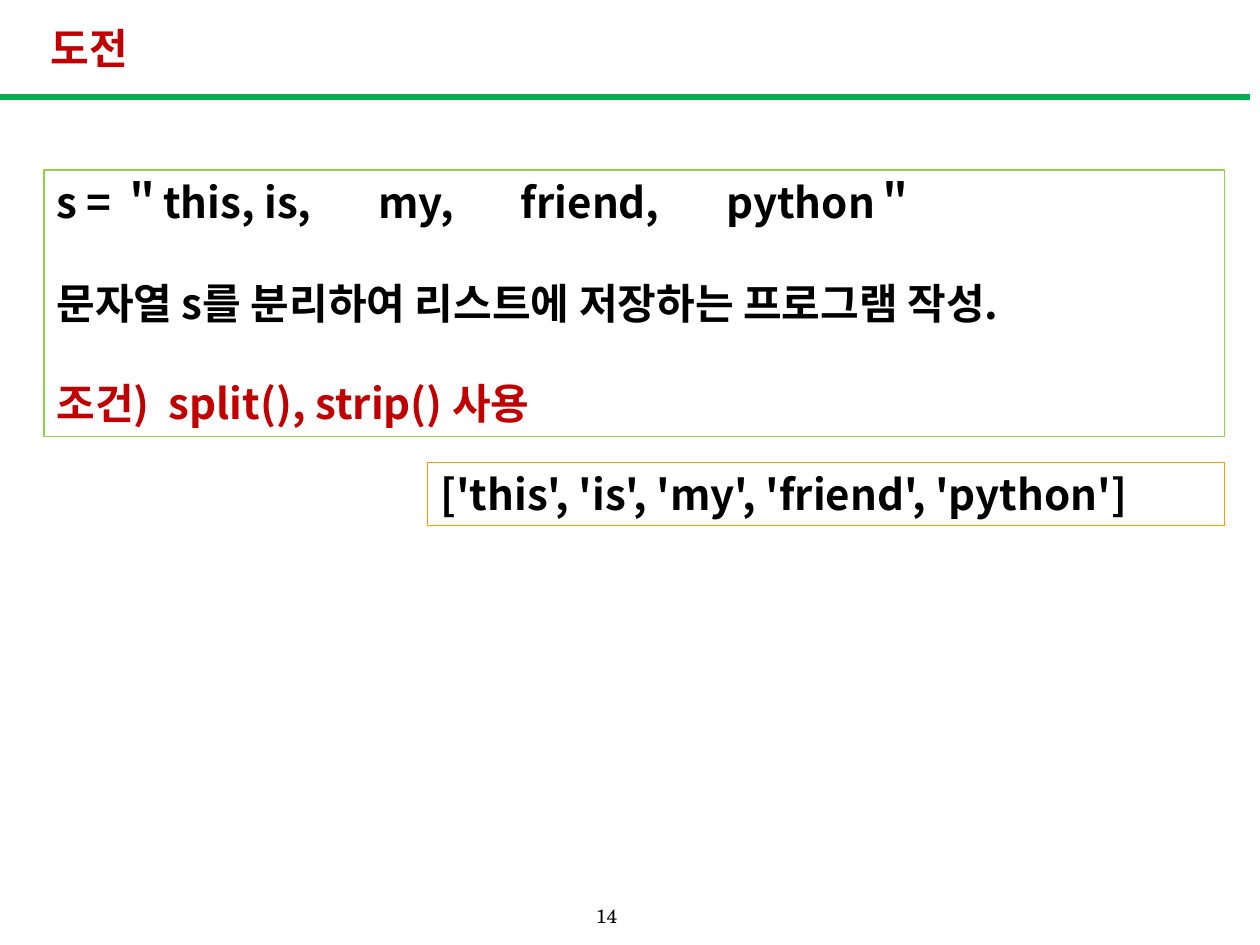
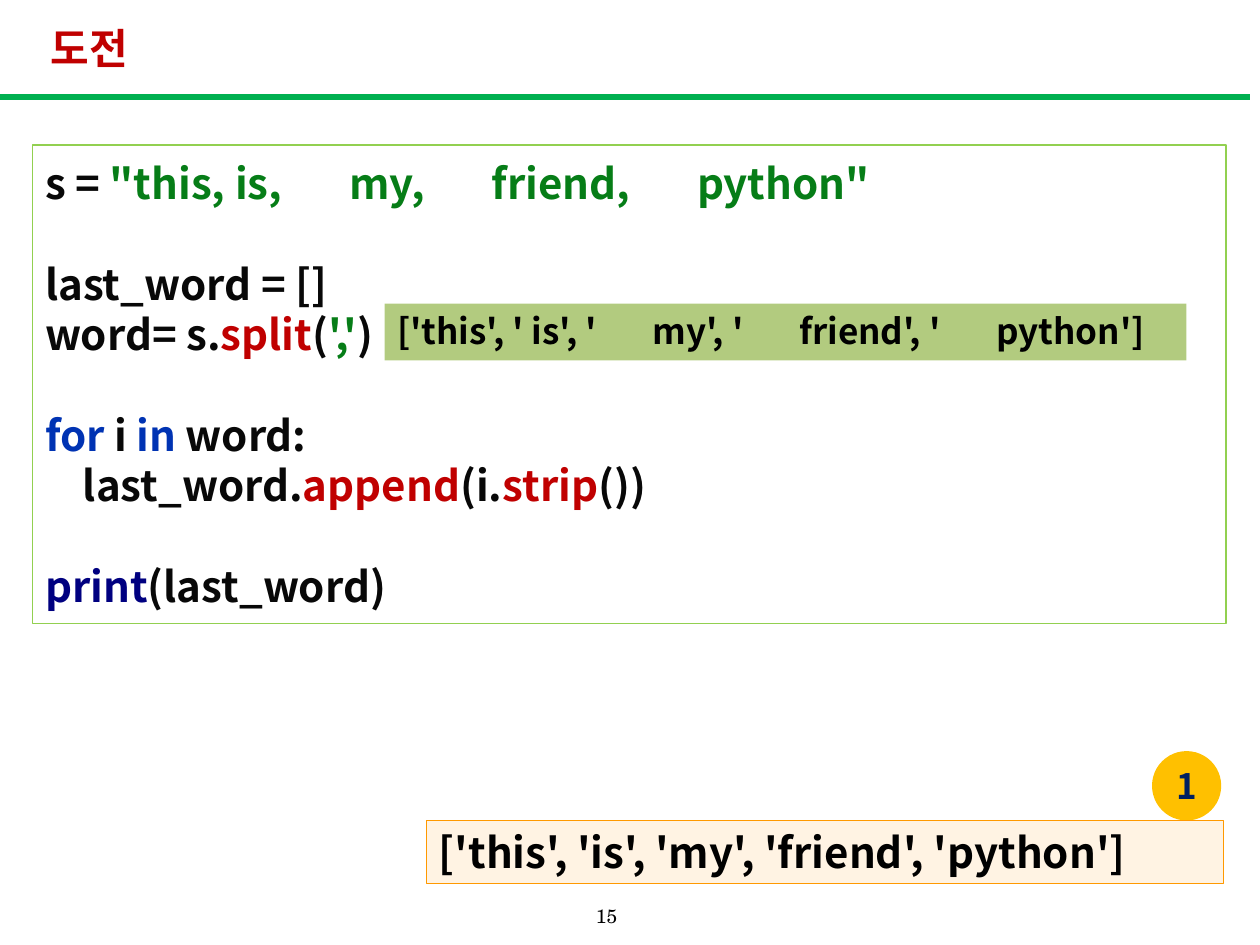
from dataclasses import dataclass

from lxml.etree import SubElement
from pptx import Presentation
from pptx.dml.color import RGBColor
from pptx.enum.shapes import MSO_CONNECTOR as Connector, MSO_SHAPE as Shape
from pptx.enum.text import MSO_ANCHOR as Anchor, PP_ALIGN as Align
from pptx.oxml.ns import qn
from pptx.util import Inches, Pt

COLUMNS, ROWS = 100, 75


@dataclass(frozen=True)
class Theme:
    """Fonts, type sizes and colours shared by the slides."""
    body_font: str = "Noto Sans CJK KR"
    title_font: str = "Courier New"
    number_font: str = "TeX Gyre Schola"
    large: int = 24
    medium: int = 20
    small: int = 11
    leading: float = 1.2
    black: str = "000000"
    ink: str = "080808"
    red: str = "C00000"
    string: str = "067D17"
    keyword: str = "0033B3"
    builtin: str = "000080"
    navy: str = "002060"
    rule: str = "00B050"
    panel: str = "92D050"
    answer: str = "FF9900"
    cream: str = "FFE9C8"
    white: str = "FFFFFF"
    olive: str = "669900"
    gold: str = "FFC000"


THEME = Theme()
RESULT = "['this', 'is', 'my', 'friend', 'python']"


@dataclass(frozen=True)
class Box:
    """A rectangle in grid columns and rows."""
    left: float
    top: float
    width: float
    height: float

    def inner(self, left, top, width, height):
        """Return an inner box given as shares of this one."""
        return Box(self.left + left * self.width, self.top + top * self.height,
                   width * self.width, height * self.height)

    def place(self, deck):
        """Return left, top, width and height in slide units."""
        column, row = deck.slide_width / COLUMNS, deck.slide_height / ROWS
        return (round(self.left * column), round(self.top * row),
                round(self.width * column), round(self.height * row))


@dataclass(frozen=True)
class Line:
    """One paragraph: its spans, blank lines before it and indent in inches."""
    spans: tuple
    gap: int = 0
    indent: float = 0


TITLE = Box(3, 0.8, 55.7, 5.9)
RULE = Box(0, 7.7, 99.2, 0)
NUMBER = Box(45.6, 71.1, 5.1, 3.1)


def add_span(para, text, size, colour, font, bold=True):
    """Append one formatted run to a paragraph."""
    span = para.add_run()
    span.text = text
    span.font.size, span.font.bold, span.font.name = Pt(size), bold, font
    span.font.color.rgb = RGBColor.from_string(colour)
    east_asian = SubElement(span.font._element, qn("a:ea"))
    east_asian.set("typeface", THEME.body_font)


def write(frame, lines, size, align=Align.LEFT, anchor=Anchor.TOP):
    """Fill a text frame with lines of coloured spans."""
    frame.word_wrap, frame.vertical_anchor = True, anchor
    pitch = size * THEME.leading
    for index, line in enumerate(lines):
        para = frame.add_paragraph() if index else frame.paragraphs[0]
        para.alignment, para.line_spacing = align, Pt(pitch)
        para.space_before = Pt(pitch * line.gap)
        if line.indent:
            para._p.get_or_add_pPr().set("marL", str(Inches(line.indent)))
        for text, colour in line.spans:
            add_span(para, text, size, colour, THEME.body_font)


def add_panel(deck, page, box, kind=Shape.RECTANGLE, fill=None, line=None, alpha=None):
    """Add a flat shape with optional fill, outline and transparency."""
    panel = page.shapes.add_shape(kind, *box.place(deck))
    panel.shadow.inherit = False
    if fill:
        panel.fill.solid()
        panel.fill.fore_color.rgb = RGBColor.from_string(fill)
        if alpha:
            colour = panel._element.spPr.find(f".//{qn('a:srgbClr')}")
            SubElement(colour, qn("a:alpha")).set("val", str(alpha * 1000))
    else:
        panel.fill.background()
    if line:
        panel.line.color.rgb = RGBColor.from_string(line)
        panel.line.width = Pt(0.75)
    else:
        panel.line.fill.background()
    return panel


def add_layout_rule(deck, page):
    """Draw the green rule and move it to the shared layout."""
    left, top, width, _ = RULE.place(deck)
    rule = page.shapes.add_connector(Connector.STRAIGHT, left, top, left + width, top)
    rule.line.color.rgb = RGBColor.from_string(THEME.rule)
    rule.line.width = Pt(3)
    SubElement(rule._element.spPr, qn("a:effectLst"))
    page.slide_layout.shapes.element.append(rule.element)


def add_page(deck, title, number):
    """Add a page with its title and page number."""
    page = deck.slides.add_slide(deck.slide_layouts[5])
    heading = page.shapes.title
    heading.left, heading.top, heading.width, heading.height = TITLE.place(deck)
    heading.text_frame.vertical_anchor = Anchor.MIDDLE
    para = heading.text_frame.paragraphs[0]
    para.alignment = Align.LEFT
    add_span(para, title, THEME.large, THEME.red, THEME.title_font)
    footer = page.shapes.add_textbox(*NUMBER.place(deck)).text_frame
    footer.word_wrap, footer.vertical_anchor = True, Anchor.MIDDLE
    footer.paragraphs[0].alignment = Align.CENTER
    add_span(footer.paragraphs[0], str(number), THEME.small, THEME.black,
             THEME.number_font, bold=False)
    return page


def add_answer(deck, page, box, fill, alpha=None):
    """Show the resulting list in an orange frame."""
    answer = add_panel(deck, page, box, fill=fill, line=THEME.answer, alpha=alpha)
    write(answer.text_frame, [Line(((RESULT, THEME.black),))], THEME.large)


def add_badge(deck, page, box, label):
    """Add a numbered gold disc."""
    badge = add_panel(deck, page, box, Shape.OVAL, THEME.gold)
    frame = badge.text_frame
    frame.margin_left = frame.margin_right = 0
    write(frame, [Line(((label, THEME.navy),))], THEME.medium, Align.CENTER, Anchor.MIDDLE)


def add_task(deck, page, box):
    """Place the task above the expected list."""
    task = add_panel(deck, page, box.inner(0, 0, 1, 0.75), line=THEME.panel)
    write(task.text_frame, [
        Line((("s = ＂this, is,       my,       friend,       python＂", THEME.black),)),
        Line((("문자열 s를 분리하여 리스트에 저장하는 프로그램 작성.", THEME.black),), gap=1),
        Line((("조건)  split(), strip() 사용", THEME.red),), gap=1),
    ], THEME.large)
    add_answer(deck, page, box.inner(0.325, 0.823, 0.675, 0.177), THEME.white)


def add_solution(deck, page, box):
    """Place the code, its intermediate list and the numbered result."""
    ink, red = THEME.ink, THEME.red
    code = add_panel(deck, page, box.inner(0, 0, 1, 0.648), line=THEME.panel)
    write(code.text_frame, [
        Line((("s = ", ink),
              ('"this, is,       my,       friend,       python"', THEME.string))),
        Line((("last_word = []", ink),), gap=1),
        Line((("word= s.", ink), ("split", red), ("(", ink),
              ("','", THEME.string), (")", ink))),
        Line((("for ", THEME.keyword), ("i ", ink),
              ("in ", THEME.keyword), ("word:", ink)), gap=1),
        Line((("last_word.", ink), ("append", red), ("(i.", ink),
              ("strip", red), ("())", ink)), indent=0.3),
        Line((("print", THEME.builtin), ("(last_word)", ink)), gap=1),
    ], THEME.large, anchor=Anchor.MIDDLE)
    add_badge(deck, page, box.inner(0.938, 0.821, 0.058, 0.094), "1")
    note = add_panel(deck, page, box.inner(0.295, 0.215, 0.672, 0.077),
                     fill=THEME.olive, alpha=50)
    pieces = "['this', ' is', '       my', '       friend', '       python']"
    write(note.text_frame, [Line(((pieces, THEME.black),))], THEME.medium)
    add_answer(deck, page, box.inner(0.33, 0.915, 0.668, 0.085), THEME.cream, alpha=50)


def main():
    """Build both pages and save the deck."""
    deck = Presentation()
    deck.slide_width, deck.slide_height = Inches(10), Inches(7.5)
    regions = ((add_task, Box(3.5, 13.5, 93.7, 28.2)),
               (add_solution, Box(2.6, 11.5, 94.7, 58.6)))
    for number, (add_region, box) in enumerate(regions, start=14):
        page = add_page(deck, "도전", number)
        add_region(deck, page, box)
    add_layout_rule(deck, page)
    deck.save("out.pptx")


if __name__ == "__main__":
    main()
